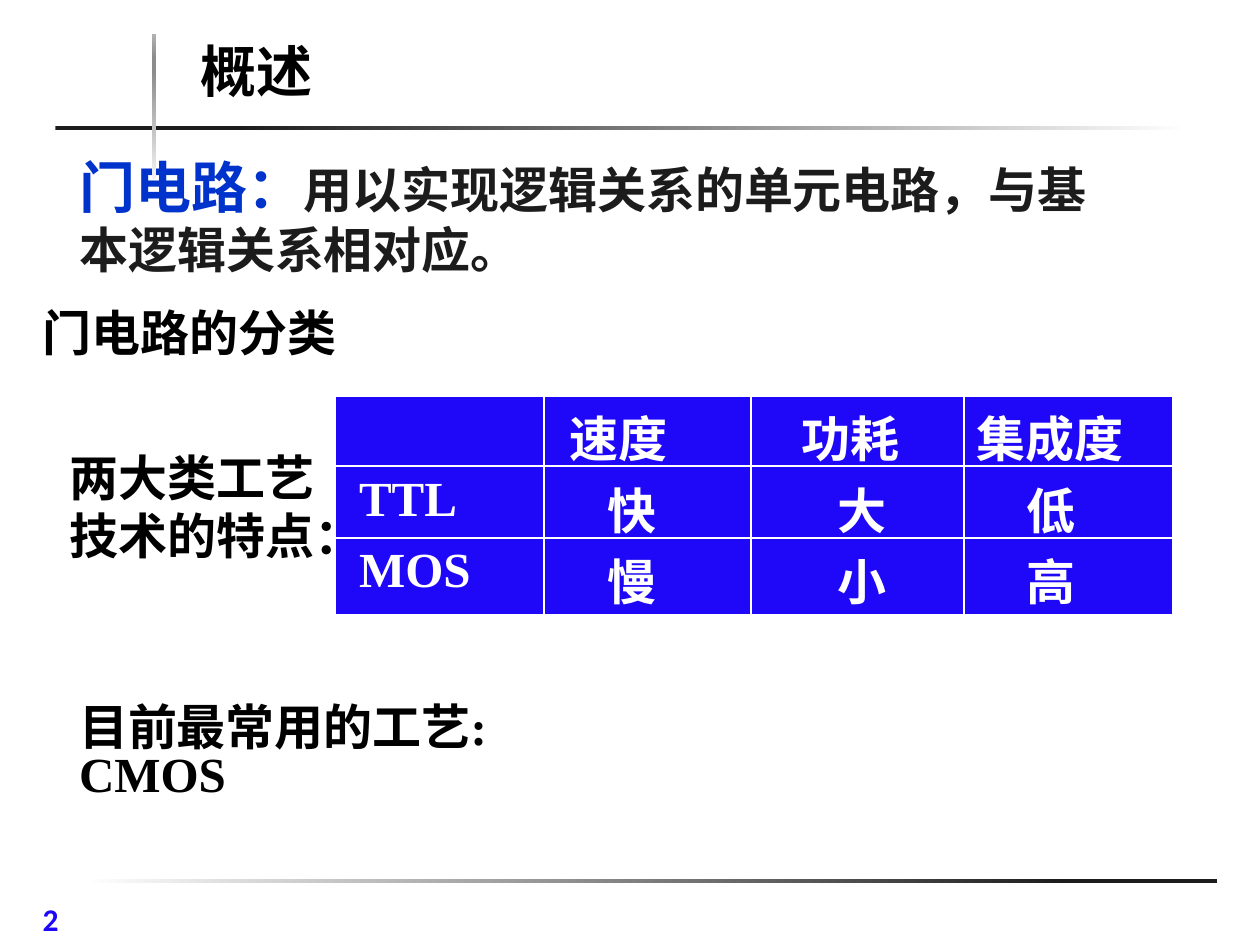
from lxml import etree
from pptx import Presentation
from pptx.dml.color import RGBColor
from pptx.enum.shapes import MSO_SHAPE as Shape
from pptx.enum.text import MSO_ANCHOR as Anchor, MSO_AUTO_SIZE as AutoSize, PP_ALIGN as Align
from pptx.oxml import parse_xml
from pptx.oxml.ns import nsdecls, qn
from pptx.util import Inches, Pt

BLUE, BLACK, WHITE, DARK = "1F08F8", "000000", "FFFFFF", "1C1C1C"
SERIF, SANS, CHINESE = "Times New Roman", "Calibri", "Noto Sans CJK SC"


def color(value):
    """Turn a hex string into a colour."""
    return RGBColor.from_string(value)


def place(shape, box):
    """Move a shape to a box of left, top, width and height in inches."""
    shape.left, shape.top, shape.width, shape.height = map(Inches, box)


def add_run(paragraph, text, size=28, font=SERIF, fill=BLACK):
    """Add a bold run to a paragraph."""
    run = paragraph.add_run()
    run.text = text
    run.font.size, run.font.name, run.font.bold = Pt(size), font, True
    run.font.color.rgb = color(fill)
    east_asian = etree.SubElement(run.font._element, qn("a:ea"))
    east_asian.set("typeface", CHINESE)


def add_text_box(slide, box):
    """Add a wrapping text box and return its first paragraph."""
    frame = slide.shapes.add_textbox(*map(Inches, box)).text_frame
    frame.word_wrap = True
    return frame.paragraphs[0]


def add_gradient_bar(slide, box, stops, angle=0):
    """Add a thin bar with a linear gradient of (percent, colour) stops."""
    bar = slide.shapes.add_shape(Shape.RECTANGLE, *map(Inches, box))
    bar.shadow.inherit = False
    bar.line.fill.background()
    stop_xml = "".join(
        f'<a:gs pos="{percent * 1000}"><a:srgbClr val="{value}"/></a:gs>'
        for percent, value in stops)
    gradient = parse_xml(
        f'<a:gradFill {nsdecls("a")} rotWithShape="1"><a:gsLst>{stop_xml}</a:gsLst>'
        f'<a:lin ang="{angle * 60000}" scaled="0"/></a:gradFill>')
    bar._element.spPr.find(qn("a:prstGeom")).addnext(gradient)


def add_frame(slide):
    """Add the decorative bars and the slide number."""
    add_gradient_bar(slide, (0.66, 6.98, 9, 0.03), [(0, WHITE), (87, DARK)])
    add_gradient_bar(slide, (0.44, 1, 9, 0.03), [(16, DARK), (100, WHITE)])
    add_gradient_bar(slide, (1.21, 0.27, 0.03, 1.15),
                     [(0, "F2F2F2"), (74, "8C8C8C"), (83, "8C8C8C"), (100, "B2B2B2")], 270)
    add_run(add_text_box(slide, (0.24, 7.09, 0.99, 0.37)), "2", 18, SANS, BLUE)


def fill_title(slide, box):
    """Fill the title placeholder."""
    title = slide.shapes.title
    place(title, box)
    frame = title.text_frame
    frame.auto_size, frame.vertical_anchor = AutoSize.NONE, Anchor.BOTTOM
    paragraph = frame.paragraphs[0]
    paragraph.alignment = Align.LEFT
    add_run(paragraph, "概述", 32, SANS)


def fill_definition(slide, box):
    """Fill the body placeholder with the definition, without a bullet."""
    body = slide.placeholders[1]
    place(body, box)
    body.text_frame.auto_size = AutoSize.NONE
    paragraph = body.text_frame.paragraphs[0]
    paragraph.space_before = Pt(0)
    add_run(paragraph, "门电路：", 32, CHINESE, "0033CC")
    add_run(paragraph, "用以实现逻辑关系的单元电路，与基本逻辑关系相对应。", 28, CHINESE, DARK)
    properties = paragraph._p.get_or_add_pPr()
    properties.set("marL", "0")
    properties.set("indent", "0")
    etree.SubElement(properties, qn("a:buNone"))


def add_border(cell, side, width):
    """Draw one white cell border."""
    cell._tc.get_or_add_tcPr().append(parse_xml(
        f'<a:ln{side} {nsdecls("a")} w="{Pt(width)}"><a:solidFill>'
        f'<a:srgbClr val="{WHITE}"/></a:solidFill></a:ln{side}>'))


def add_comparison_table(slide, box):
    """Add the table that compares the two technologies."""
    rows = [["", "速度", "功耗", "集成度"],
            ["TTL", "快", "大", "低"],
            ["MOS", "慢", "小", "高"]]
    indents = [[0, 0.1, 0.3, 0]] + [[0.1, 0.4, 0.59, 0.4]] * 2
    table = slide.shapes.add_table(3, 4, *map(Inches, box)).table
    for column, width in zip(table.columns, (1.67, 1.64, 1.69, 1.67)):
        column.width = Inches(width)
    for row, height in zip(table.rows, (0.57, 0.57, 0.62)):
        row.height = Inches(height)
    for i, row in enumerate(rows):
        for j, text in enumerate(row):
            cell = table.cell(i, j)
            outer = {"L": j == 0, "R": j == 3, "T": i == 0, "B": i == 2}
            for side, is_outer in outer.items():
                add_border(cell, side, 3 if is_outer else 1.5)
            cell.fill.solid()
            cell.fill.fore_color.rgb = color(BLUE)
            cell.margin_left = Inches(0.1 + indents[i][j])
            if text:
                add_run(cell.text_frame.paragraphs[0], text, fill=WHITE)


def add_technology_notes(slide):
    """Add the headings around the table and the closing note."""
    add_run(add_text_box(slide, (0.24, 2.35, 3.17, 0.57)), "门电路的分类")
    features = add_text_box(slide, (0.4, 3.5, 2.25, 1.03))
    features.alignment = Align.CENTER
    add_run(features, "两大类工艺技术的特点：")
    common = add_text_box(slide, (0.53, 5.57, 5.06, 0.48))
    common.line_spacing = 0.8
    add_run(common, "目前最常用的工艺:")
    common.add_line_break()
    add_run(common, "CMOS")


def main():
    """Build and save the slide."""
    presentation = Presentation()
    presentation.slide_width, presentation.slide_height = Inches(10), Inches(7.5)
    slide = presentation.slides.add_slide(presentation.slide_layouts[1])
    add_frame(slide)
    fill_title(slide, (1.49, 0.29, 3.58, 0.58))
    fill_definition(slide, (0.53, 1.16, 8.54, 1.11))
    add_technology_notes(slide)
    add_comparison_table(slide, (2.65, 3.13, 6.67, 1.76))
    presentation.save("out.pptx")


if __name__ == "__main__":
    main()
